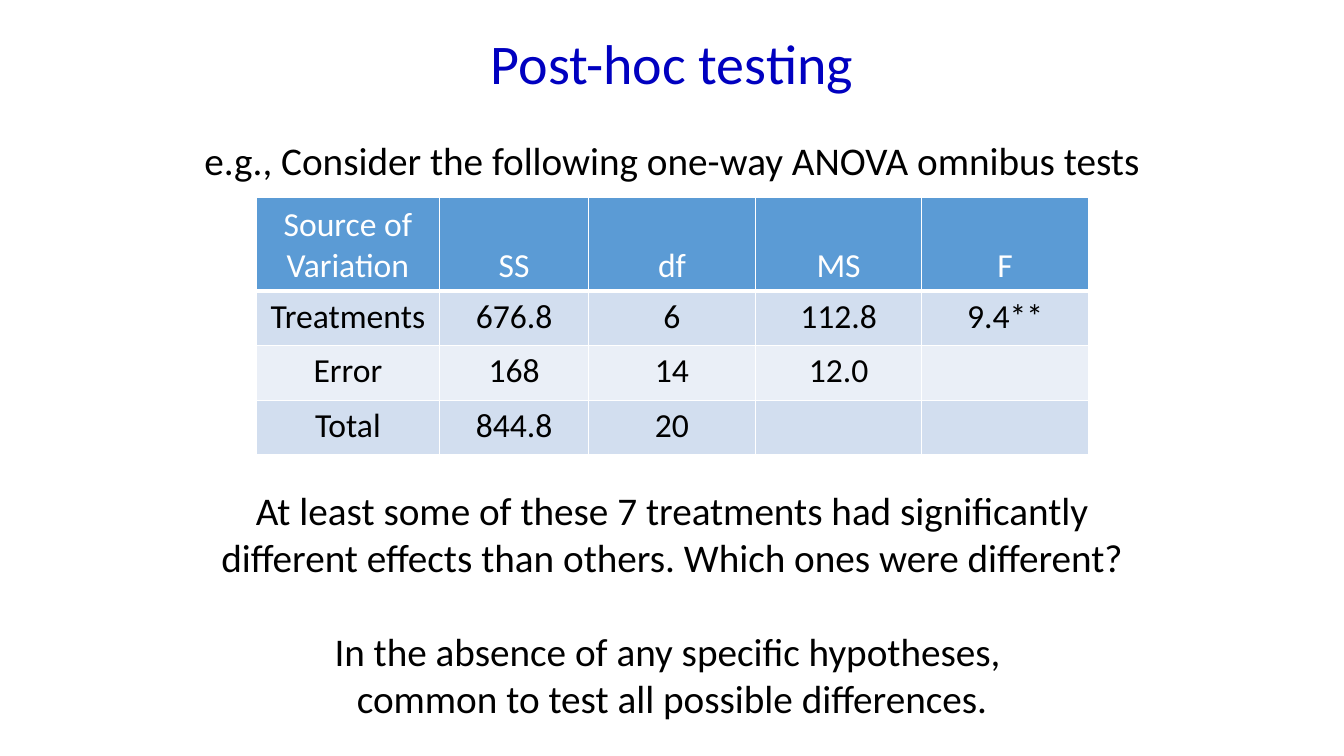
import pptx
import pptx.dml.color
import pptx.enum.text
import pptx.oxml
import pptx.oxml.ns
import pptx.util

Pt = pptx.util.Pt
COLORS = {
    "title": "0000C0", "text": "000000", "white": "FFFFFF",
    "header": "5B9BD5", "odd_row": "D2DEEF", "even_row": "EAEFF7",
}
ANOVA = [
    ["Source of Variation", "SS", "df", "MS", "F"],
    ["Treatments", "676.8", "6", "112.8", "9.4**"],
    ["Error", "168", "14", "12.0", ""],
    ["Total", "844.8", "20", "", ""],
]


def rgb(name):
    """Return the palette colour as an RGBColor."""
    return pptx.dml.color.RGBColor.from_string(COLORS[name])


class SlideBuilder:
    """Holds the style and the current slide."""

    font = "Calibri"

    def __init__(self, slide):
        """Remember the slide to draw on."""
        self.slide = slide

    def style(self, paragraph, size, color):
        """Centre a paragraph and format its runs."""
        paragraph.alignment = pptx.enum.text.PP_ALIGN.CENTER
        paragraph.font.size = Pt(size)
        for run in paragraph.runs:
            run.font.name = self.font
            run.font.size = Pt(size)
            run.font.bold = False
            run.font.color.rgb = rgb(color)

    def text(self, box, lines, size=28, color="text"):
        """Add a wrapped, centred text box and return its paragraphs."""
        frame = self.slide.shapes.add_textbox(*map(Pt, box)).text_frame
        frame.word_wrap = True
        frame.text = "\n".join(lines)
        for paragraph in frame.paragraphs:
            self.style(paragraph, size, color)
        return frame.paragraphs

    def border(self, cell, side, width):
        """Draw one white cell border."""
        line = pptx.oxml.parse_xml(
            f'<a:{side} {pptx.oxml.ns.nsdecls("a")} w="{Pt(width)}"><a:solidFill>'
            f'<a:srgbClr val="{COLORS["white"]}"/></a:solidFill></a:{side}>')
        cell_format = cell._tc.get_or_add_tcPr()
        cell_format.insert(len(cell_format.findall("*")) - 1, line)

    def table(self, left, top, widths, heights, rows, size=24):
        """Add a table with a header row and banded body rows."""
        table = self.slide.shapes.add_table(
            len(rows), len(widths), Pt(left), Pt(top),
            Pt(sum(widths)), Pt(sum(heights))).table
        for column, width in zip(table.columns, widths):
            column.width = Pt(width)
        for r, (values, height) in enumerate(zip(rows, heights)):
            table.rows[r].height = Pt(height)
            band = "header" if r == 0 else "odd_row" if r % 2 else "even_row"
            for c, value in enumerate(values):
                cell = table.cell(r, c)
                cell.text = value
                self.style(cell.text_frame.paragraphs[0], size,
                           "text" if r else "white")
                if r == 0:
                    cell.vertical_anchor = pptx.enum.text.MSO_ANCHOR.BOTTOM
                cell.fill.solid()
                cell.fill.fore_color.rgb = rgb(band)
                for side in ("lnL", "lnR", "lnT", "lnB"):
                    under_header = (r, side) in ((0, "lnB"), (1, "lnT"))
                    self.border(cell, side, 3 if under_header else 1)


def main():
    """Build the post-hoc testing slide."""
    deck = pptx.Presentation()
    deck.slide_width, deck.slide_height = Pt(960), Pt(540)
    builder = SlideBuilder(deck.slides.add_slide(deck.slide_layouts[6]))

    left, width = 130, 700
    builder.text((left, 17, width, 56), ["Post-hoc testing"], 40, "title")
    builder.table(183, 141, [131, 106.5] + [119] * 3, [67] + [39] * 3, ANOVA)
    builder.text((left, 94, width, 41),
                 ["e.g., Consider the following one-way ANOVA omnibus tests"])
    conclusions = builder.text((left, 343.5, width, 177), [
        "At least some of these 7 treatments had significantly "
        "different effects than others. Which ones were different?",
        "In the absence of any specific hypotheses, ",
        "common to test all possible differences.",
    ])
    conclusions[1].space_before = Pt(34)
    deck.save("out.pptx")


main()
